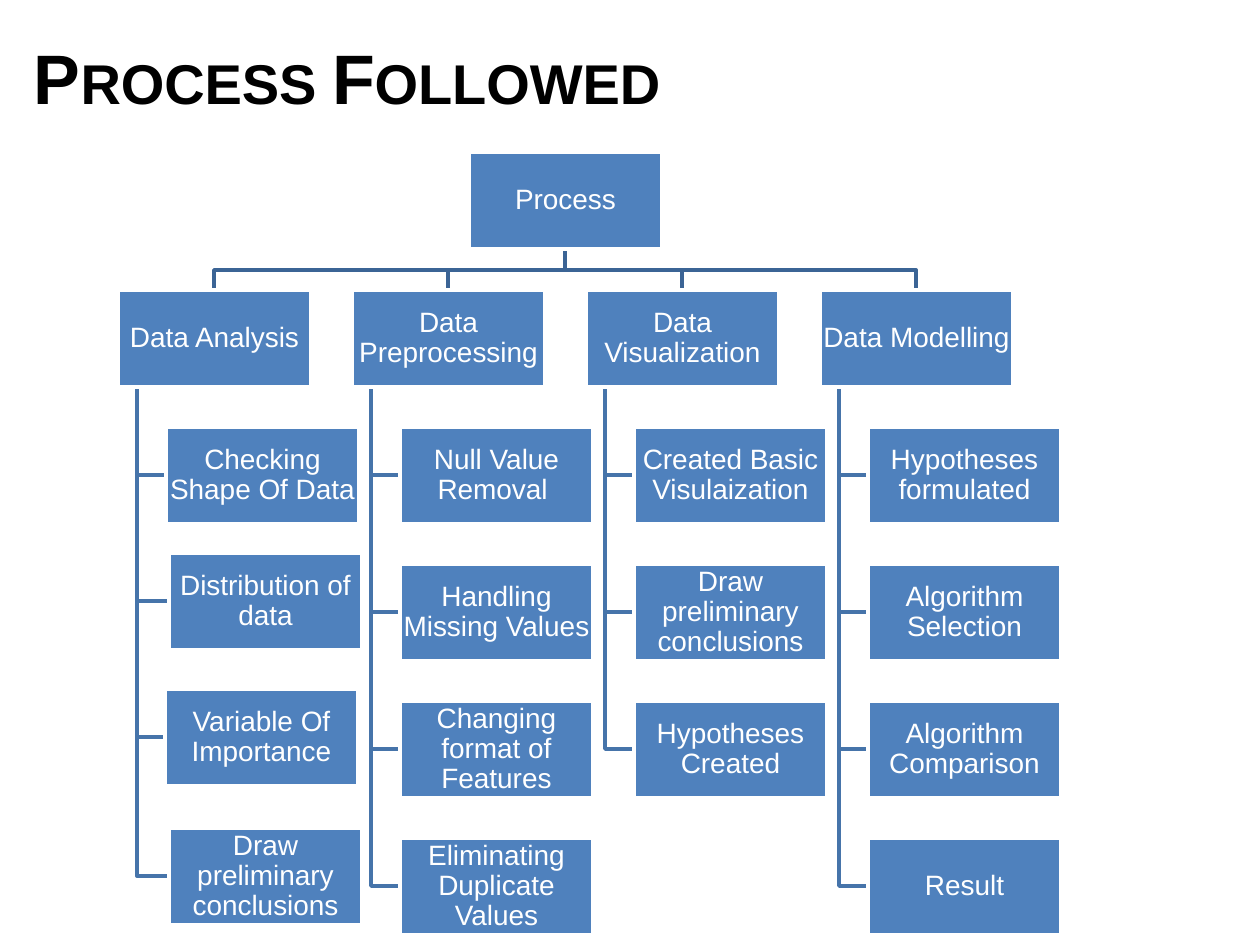
import pptx
import pptx.util
import pptx.dml.color
import pptx.enum.text
import pptx.enum.shapes
from dataclasses import dataclass

TEXT = pptx.enum.text
SCALE = 914400 // 126  # EMU per pixel


@dataclass
class Theme:
    font: str = "Arial"
    ink: str = "000000"
    pale: str = "FFFFFF"
    fill: str = "4F81BD"
    trunk: str = "3B6495"
    branch: str = "4674AA"
    head: int = 40
    body: int = 16
    line: int = 2


class Deck:
    def __init__(self, theme):
        self.theme = theme
        self.show = pptx.Presentation()
        self.show.slide_width = pptx.util.Inches(10)
        self.show.slide_height = pptx.util.Inches(7.5)
        self.slide = self.show.slides.add_slide(self.show.slide_layouts[5])

    def color(self, code):
        return pptx.dml.color.RGBColor.from_string(code)

    def stroke(self, shape, code):
        shape.shadow.inherit = False
        shape.line.color.rgb = self.color(code)
        shape.line.width = pptx.util.Pt(self.theme.line)

    def label(self, shape, text, size, code, align, space, anchor, pads):
        frame = shape.text_frame
        frame.word_wrap = True
        frame.auto_size = TEXT.MSO_AUTO_SIZE.NONE
        frame.vertical_anchor = anchor
        (frame.margin_left, frame.margin_top,
         frame.margin_right, frame.margin_bottom) = [p * SCALE for p in pads]
        para = frame.paragraphs[0]
        para.alignment = align
        para.line_spacing = space
        run = para.add_run()
        run.text = text
        run.font.name = self.theme.font
        run.font.size = pptx.util.Pt(size)
        run.font.color.rgb = self.color(code)
        return run

    def title(self, text, x, y, w, h):
        shape = self.slide.shapes.title
        shape.left, shape.top, shape.width, shape.height = [
            v * SCALE for v in (x, y, w, h)]
        run = self.label(shape, text, self.theme.head, self.theme.ink,
                         TEXT.PP_ALIGN.LEFT, 1.07,
                         TEXT.MSO_ANCHOR.BOTTOM, (13, 6, 13, 0))
        run.font.bold = True
        run._r.get_or_add_rPr().set("cap", "small")

    def box(self, text, x, y, w, h):
        shape = self.slide.shapes.add_shape(
            pptx.enum.shapes.MSO_SHAPE.RECTANGLE,
            *[v * SCALE for v in (x, y, w, h)])
        shape.fill.solid()
        shape.fill.fore_color.rgb = self.color(self.theme.fill)
        self.stroke(shape, self.theme.pale)
        self.label(shape, text, self.theme.body, self.theme.pale,
                   TEXT.PP_ALIGN.CENTER, 0.9,
                   TEXT.MSO_ANCHOR.MIDDLE, (1, 1, 1, 1))

    def elbow(self, points, code):
        start, *rest = points
        pen = self.slide.shapes.build_freeform(*start, scale=SCALE)
        pen.add_line_segments(rest, close=False)
        shape = pen.convert_to_shape()
        shape.fill.background()
        self.stroke(shape, code)


# Tree content: each stage with its steps
STAGES = [
    ("Data Analysis", ["Checking Shape Of Data", "Distribution of data",
                       "Variable Of Importance",
                       "Draw preliminary conclusions"]),
    ("Data Preprocessing", ["Null Value Removal ", "Handling Missing Values",
                            "Changing format of Features",
                            "Eliminating Duplicate Values"]),
    ("Data Visualization", ["Created Basic Visulaization",
                            "Draw preliminary conclusions",
                            "Hypotheses Created"]),
    ("Data Modelling", ["Hypotheses formulated", "Algorithm Selection",
                        "Algorithm Comparison", "Result"]),
]

# Grid in pixels
WIDE, HIGH = 193, 97
ROOT_X, ROOT_Y = 469, 152
LEFT, TOP = 118, 290
COL, ROW = 234, 137
INDENT, STEM, BUS = 48, 19, 270

# Steps of the first stage are moved by hand: (stage, step) -> (dx, dy)
SHIFT = {(0, 1): (3, -11), (0, 2): (-1, -12), (0, 3): (3, -10)}

theme = Theme()
deck = Deck(theme)
deck.title("Process Followed", 21, 21, 903, 98)

# Work out the boxes and draw the lines beneath them
boxes = [("Process", ROOT_X, ROOT_Y)]
mid = ROOT_X + WIDE // 2
for i, (stage, steps) in enumerate(STAGES):
    x = LEFT + i * COL
    boxes.append((stage, x, TOP))
    hub = x + WIDE // 2
    deck.elbow([(mid, ROOT_Y + HIGH), (mid, BUS), (hub, BUS), (hub, TOP)],
               theme.trunk)
    for j, step in enumerate(steps):
        dx, dy = SHIFT.get((i, j), (0, 0))
        left, top = x + INDENT + dx, TOP + (j + 1) * ROW + dy
        boxes.append((step, left, top))
        stem, level = x + STEM, top + HIGH // 2
        deck.elbow([(stem, TOP + HIGH), (stem, level), (left, level)],
                   theme.branch)

# Boxes on top
for text, x, y in boxes:
    deck.box(text, x, y, WIDE, HIGH)

deck.show.save("out.pptx")
